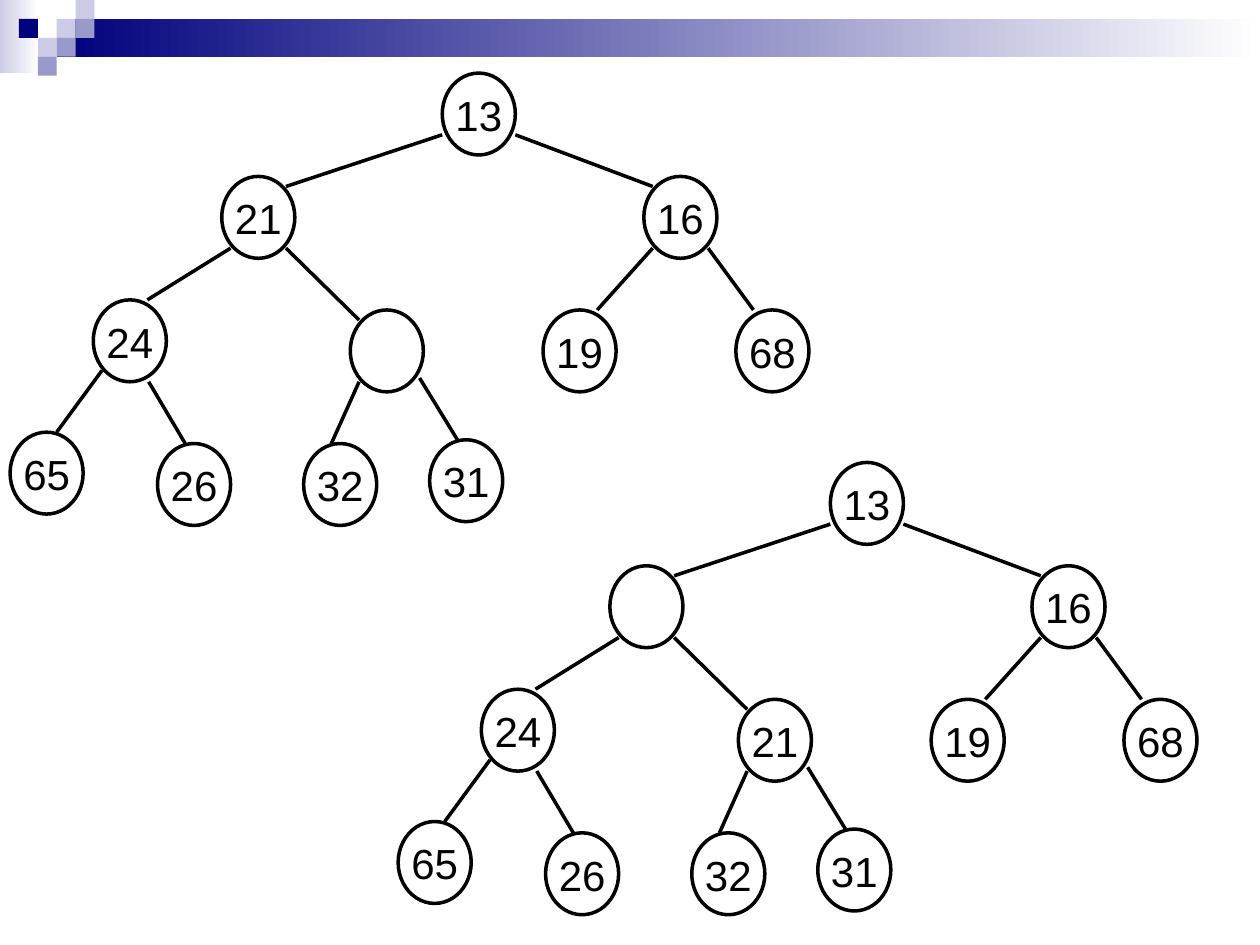
from pptx import Presentation, util as u
from pptx.dml.color import RGBColor
from pptx.enum import shapes, text
from pptx.oxml.ns import qn
from lxml import etree

BLACK = RGBColor(0x00, 0x00, 0x00)
WHITE = RGBColor(0xFF, 0xFF, 0xFF)
NAVY = RGBColor(0x00, 0x00, 0x7D)
LAVENDER = RGBColor(0xCC, 0xCC, 0xE6)
PERIWINKLE = RGBColor(0x99, 0x99, 0xCC)

LABEL_FRAME = {"word_wrap": True, "auto_size": text.MSO_AUTO_SIZE.SHAPE_TO_FIT_TEXT}
LABEL_PARAGRAPH = {"alignment": text.PP_ALIGN.CENTER, "space_before": u.Pt(15)}
LABEL_FONT = {"name": "Arial", "size": u.Pt(24)}

NODE_SIZE = (0.58, 0.65)
LABEL_DROP, LABEL_HEIGHT = 0.08, 0.5
NODES = [(3.43, 0), (1.68, 0.82), (5.03, 0.82),
         (0.66, 1.8), (2.7, 1.88), (4.23, 1.88), (5.76, 1.88),
         (0, 2.85), (1.17, 2.94), (2.33, 2.94), (3.33, 2.91)]
EDGES = [(3.43, 0.49, 2.19, 0.9), (4.01, 0.49, 5.1, 0.9),
         (1.75, 1.39, 1.09, 1.8), (2.19, 1.39, 2.77, 1.96),
         (5.1, 1.39, 4.66, 1.88), (5.54, 1.39, 5.9, 1.88),
         (0.73, 2.36, 0.37, 2.85), (1.1, 2.45, 1.39, 2.94),
         (2.77, 2.45, 2.55, 2.94), (3.25, 2.42, 3.55, 2.91)]


def set_all(target, values):
    """Set each named attribute on the target."""
    for name, value in values.items():
        setattr(target, name, value)


def add_block(parts, box, color, fade=False):
    """Add a borderless rectangle, solid or fading to white."""
    block = parts.add_shape(shapes.MSO_SHAPE.RECTANGLE, *map(u.Inches, box))
    block.shadow.inherit = False
    block.line.fill.background()
    if fade:
        block.fill.gradient()
        block.fill.gradient_angle = 0
        for stop, position, tone in zip(block.fill.gradient_stops, (0, 1), (color, WHITE)):
            stop.position = position
            stop.color.rgb = tone
    else:
        block.fill.solid()
        block.fill.fore_color.rgb = color


def add_banner(parts, left, top, width):
    """Draw the fading band and its mosaic of squares."""
    side = 0.15
    add_block(parts, (left, top, 0.31, 0.58), LAVENDER, fade=True)
    add_block(parts, (left + 3 * side, top + side, width - 3 * side, 2 * side), NAVY, fade=True)
    mosaic = [(3, 1, LAVENDER), (4, 0, LAVENDER), (4, 1, PERIWINKLE), (2, 2, LAVENDER),
              (1, 1, NAVY), (3, 2, PERIWINKLE), (2, 3, PERIWINKLE)]
    for column, row, color in mosaic:
        add_block(parts, (left + column * side, top + row * side, side, side), color)


def add_node(parts, left, top, value):
    """Draw one heap node with its value, or an empty hole."""
    width, height = NODE_SIZE
    if value:
        label = parts.add_textbox(*map(u.Inches, (left, top + LABEL_DROP, width, LABEL_HEIGHT)))
        set_all(label.text_frame, LABEL_FRAME)
        paragraph = label.text_frame.paragraphs[0]
        set_all(paragraph, LABEL_PARAGRAPH)
        run = paragraph.add_run()
        run.text = value
        set_all(run.font, LABEL_FONT)
        run.font.color.rgb = BLACK
    circle = parts.add_shape(shapes.MSO_SHAPE.OVAL, *map(u.Inches, (left, top, width, height)))
    circle.shadow.inherit = False
    circle.fill.background()
    circle.line.color.rgb = BLACK
    circle.line.width = u.Pt(2)


def add_heap(parts, left, top, values):
    """Draw a binary heap from its values in level order."""
    for x1, y1, x2, y2 in EDGES:
        ends = (left + x1, top + y1, left + x2, top + y2)
        edge = parts.add_connector(shapes.MSO_CONNECTOR.STRAIGHT, *map(u.Inches, ends))
        edge.line.color.rgb = BLACK
        edge.line.width = u.Pt(2)
        etree.SubElement(edge._element.spPr, qn("a:effectLst"))
    for (x, y), value in zip(NODES, values):
        add_node(parts, left + x, top + y, value)


def main():
    """Build the slide with both steps of the insertion."""
    deck = Presentation()
    deck.slide_width, deck.slide_height = u.Inches(10), u.Inches(7.5)
    parts = deck.slides.add_slide(deck.slide_layouts[6]).shapes
    add_banner(parts.add_group_shape().shapes, 0, 0, 10)
    below = ["19", "68", "65", "26", "32", "31"]
    add_heap(parts, 0.08, 0.58, ["13", "21", "16", "24", ""] + below)
    add_heap(parts.add_group_shape().shapes, 3.16, 3.67, ["13", "", "16", "24", "21"] + below)
    deck.save("out.pptx")


if __name__ == "__main__":
    main()
